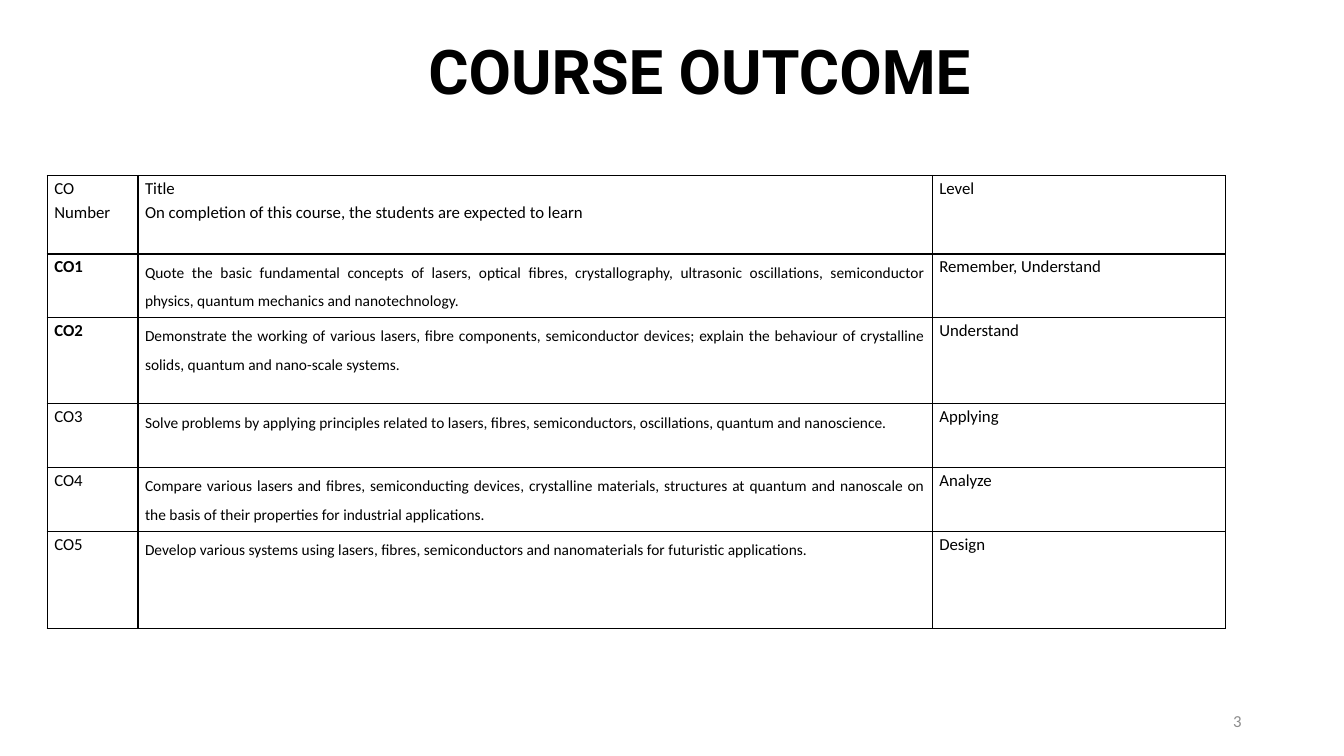
from dataclasses import dataclass

from lxml import etree
from pptx import Presentation
from pptx.dml.color import RGBColor
from pptx.enum.text import MSO_ANCHOR, MSO_AUTO_SIZE, PP_ALIGN
from pptx.oxml.ns import qn
from pptx.util import Pt

LEFT, MID, RIGHT, JUST = PP_ALIGN.LEFT, PP_ALIGN.CENTER, PP_ALIGN.RIGHT, PP_ALIGN.JUSTIFY
TOP, CENTRE = MSO_ANCHOR.TOP, MSO_ANCHOR.MIDDLE
FIXED = MSO_AUTO_SIZE.NONE


@dataclass(frozen=True)
class Theme:
    ink: str = "000000"
    grey: str = "8C8C8C"
    head: str = "Roboto"
    body: str = "Calibri"
    title: float = 44
    label: float = 12
    detail: float = 11
    rule: float = 1
    inset: float = 5


@dataclass(frozen=True)
class Outcome:
    code: str
    goal: str
    level: str
    height: float
    bold: bool = False


THEME = Theme()
WIDTHS = (64.8, 567.4, 209.5)
HEADER = ("CO Number",
          "Title\nOn completion of this course, the students are expected to learn",
          "Level")
HEAD_HIGH = 56
OUTCOMES = (
    Outcome("CO1", "Quote the basic fundamental concepts of lasers, optical fibres, "
            "crystallography, ultrasonic oscillations, semiconductor physics, quantum "
            "mechanics and nanotechnology.", "Remember, Understand", 45.5, True),
    Outcome("CO2", "Demonstrate the working of various lasers, fibre components, "
            "semiconductor devices; explain the behaviour of crystalline solids, "
            "quantum and nano-scale systems.", "Understand", 61.5, True),
    Outcome("CO3", "Solve problems by applying principles related to lasers, fibres, "
            "semiconductors, oscillations, quantum and nanoscience.", "Applying", 45.5),
    Outcome("CO4", "Compare various lasers and fibres, semiconducting devices, "
            "crystalline materials, structures at quantum and nanoscale on the basis of "
            "their properties for industrial applications.", "Analyze", 45.5),
    Outcome("CO5", "Develop various systems using lasers, fibres, semiconductors and "
            "nanomaterials for futuristic applications.", "Design", 69.5),
)


def write(frame, text: str, *, size: float = THEME.label, font: str = THEME.body,
          color: str = THEME.ink, bold: bool = False, align=LEFT,
          space: float = 1.0) -> None:
    """Fill a text frame, one paragraph a line."""
    frame.word_wrap = True
    for i, line in enumerate(text.split("\n")):
        para = frame.add_paragraph() if i else frame.paragraphs[0]
        para.alignment, para.line_spacing = align, space
        run = para.add_run()
        run.text = line
        run.font.name, run.font.size, run.font.bold = font, Pt(size), bold
        run.font.color.rgb = RGBColor.from_string(color)


def border(cell) -> None:
    """Rule all four sides of a cell; the lines come before its fill."""
    props = cell._tc.get_or_add_tcPr()
    for i, side in enumerate(("a:lnL", "a:lnR", "a:lnT", "a:lnB")):
        line = etree.Element(qn(side), w=str(Pt(THEME.rule)))
        fill = etree.SubElement(line, qn("a:solidFill"))
        etree.SubElement(fill, qn("a:srgbClr"), val=THEME.ink)
        props.insert(i, line)


def fill_cell(cell, text: str, **style) -> None:
    cell.margin_left = cell.margin_right = Pt(THEME.inset)
    cell.margin_top = cell.margin_bottom = 0
    cell.vertical_anchor = TOP
    cell.fill.background()
    border(cell)
    write(cell.text_frame, text, **{"space": 1.15, **style})


def add_title(slide) -> None:
    title = slide.shapes.title
    title.left, title.top, title.width, title.height = Pt(165), Pt(20), Pt(669.6), Pt(90)
    frame = title.text_frame
    frame.auto_size, frame.vertical_anchor = FIXED, TOP
    write(frame, "COURSE OUTCOME", size=THEME.title, font=THEME.head, bold=True, align=MID)


def add_grid(slide) -> None:
    heights = [HEAD_HIGH] + [item.height for item in OUTCOMES]
    table = slide.shapes.add_table(len(heights), len(WIDTHS), Pt(33.8), Pt(125.4),
                                   Pt(sum(WIDTHS)), Pt(sum(heights))).table
    table.first_row = table.horz_banding = False
    for col, width in zip(table.columns, WIDTHS):
        col.width = Pt(width)
    for row, height in zip(table.rows, heights):
        row.height = Pt(height)
    for col, text in enumerate(HEADER):
        fill_cell(table.cell(0, col), text)
    for row, item in enumerate(OUTCOMES, 1):
        fill_cell(table.cell(row, 0), item.code, bold=item.bold)
        fill_cell(table.cell(row, 1), item.goal, size=THEME.detail, align=JUST, space=1.5)
        fill_cell(table.cell(row, 2), item.level)


def add_number(slide) -> None:
    box = slide.shapes.add_textbox(Pt(678), Pt(500.4), Pt(216), Pt(28.8))
    box.text_frame.vertical_anchor = CENTRE
    write(box.text_frame, "3", color=THEME.grey, align=RIGHT)


def main() -> None:
    deck = Presentation()
    deck.slide_width, deck.slide_height = Pt(960), Pt(540)
    slide = deck.slides.add_slide(deck.slide_layouts[5])
    add_number(slide)
    add_title(slide)
    add_grid(slide)
    deck.save("out.pptx")


if __name__ == "__main__":
    main()
